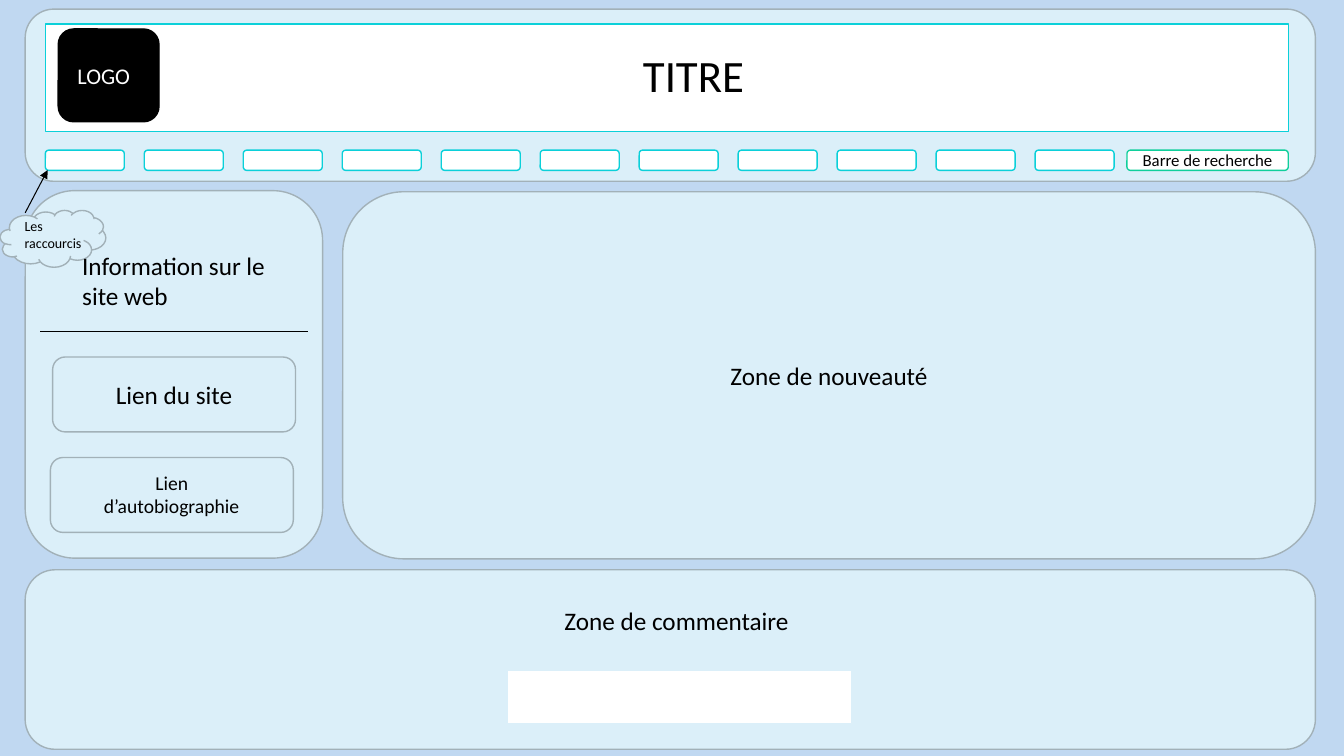
from lxml import etree
from pptx import Presentation
from pptx import util as u
from pptx.dml.color import RGBColor
from pptx.enum import shapes, text
from pptx.oxml.ns import qn

BACKGROUND = RGBColor(0xC0, 0xD8, 0xF1)
PANEL = RGBColor(0xDB, 0xEF, 0xF9)
OUTLINE = RGBColor(0xA2, 0xB1, 0xB8)
TURQUOISE = RGBColor(0x0B, 0xD0, 0xD9)
GREEN = RGBColor(0x10, 0xCF, 0x9B)
WHITE = RGBColor(0xFF, 0xFF, 0xFF)
BLACK = RGBColor(0, 0, 0)
RECTANGLE = shapes.MSO_SHAPE.RECTANGLE
ROUNDED = shapes.MSO_SHAPE.ROUNDED_RECTANGLE
CLOUD = shapes.MSO_SHAPE.CLOUD
LEFT = text.PP_ALIGN.LEFT
CENTER = text.PP_ALIGN.CENTER

presentation = Presentation()
presentation.slide_width = u.Pt(960)
presentation.slide_height = u.Pt(540)
slide = presentation.slides.add_slide(presentation.slide_layouts[6])
slide.background.fill.solid()
slide.background.fill.fore_color.rgb = BACKGROUND


def write(shape, wording, size, color=BLACK, align=CENTER):
    shape.text_frame.word_wrap = True
    paragraph = shape.text_frame.paragraphs[0]
    paragraph.text = wording
    paragraph.alignment = align
    paragraph.font.name = "Calibri"
    paragraph.font.size = u.Pt(size)
    paragraph.font.color.rgb = color


def add_box(kind, bounds, fill=PANEL, line=OUTLINE):
    shape = slide.shapes.add_shape(kind, *map(u.Pt, bounds))
    shape.shadow.inherit = False
    shape.fill.solid()
    shape.fill.fore_color.rgb = fill
    shape.line.color.rgb = line
    shape.line.width = u.Pt(1)
    return shape


add_box(ROUNDED, (18, 6.5, 921.6, 123))
add_box(RECTANGLE, (32.4, 17.2, 887.8, 77), WHITE, TURQUOISE)
add_box(ROUNDED, (41.6, 20.7, 72, 66.3), BLACK, BLACK)
for index in range(11):
    add_box(ROUNDED, (32.4 + 70.7 * index, 107.3, 56.4, 14.4), WHITE, TURQUOISE)
search_bar = add_box(ROUNDED, (805, 107.3, 115.2, 14.4), WHITE, GREEN)
write(search_bar, "Barre de recherche", 12)

add_box(ROUNDED, (18, 407, 921.6, 128.2))
add_box(ROUNDED, (18, 136.2, 212.4, 262.5))
news = add_box(ROUNDED, (244.8, 137, 694.8, 262.2))
write(news, "Zone de nouveauté", 18)

arrow, divider = [
    slide.shapes.add_connector(shapes.MSO_CONNECTOR.STRAIGHT, *map(u.Pt, ends))
    for ends in ((18, 152, 34, 121.5), (28.6, 236.7, 220.2, 236.7))
]
for connector in (arrow, divider):
    connector.line.color.rgb = BLACK
    connector.line.width = u.Pt(0.75)
    etree.SubElement(connector._element.spPr, qn("a:effectLst"))
etree.SubElement(arrow.line._get_or_add_ln(), qn("a:tailEnd"), type="triangle")

add_box(CLOUD, (0, 150.2, 75.6, 40.6))
add_box(RECTANGLE, (362.2, 479, 246.2, 38), WHITE, PANEL)
add_box(ROUNDED, (36, 326.8, 173.5, 53.5))
site_link = add_box(ROUNDED, (37.6, 255, 173.5, 53.5))
write(site_link, "Lien du site", 18)

labels = [
    ("LOGO", (48.2, 40.5, 60, 26.6), 16, WHITE, LEFT),
    ("TITRE", (139.7, 30.4, 711.4, 46), 32, BLACK, CENTER),
    ("Les raccourcis", (10.5, 151.8, 65, 65.5), 10, BLACK, LEFT),
    ("Zone de commentaire ", (362.2, 428.5, 246.2, 29), 18, BLACK, CENTER),
    ("Information sur le site web", (51.6, 175, 146, 51), 18, BLACK, LEFT),
    ("Lien d’autobiographie", (55.4, 332.6, 134.6, 41), 14, BLACK, CENTER),
]
for wording, bounds, size, color, align in labels:
    label = slide.shapes.add_textbox(*map(u.Pt, bounds))
    write(label, wording, size, color, align)

presentation.save("out.pptx")
